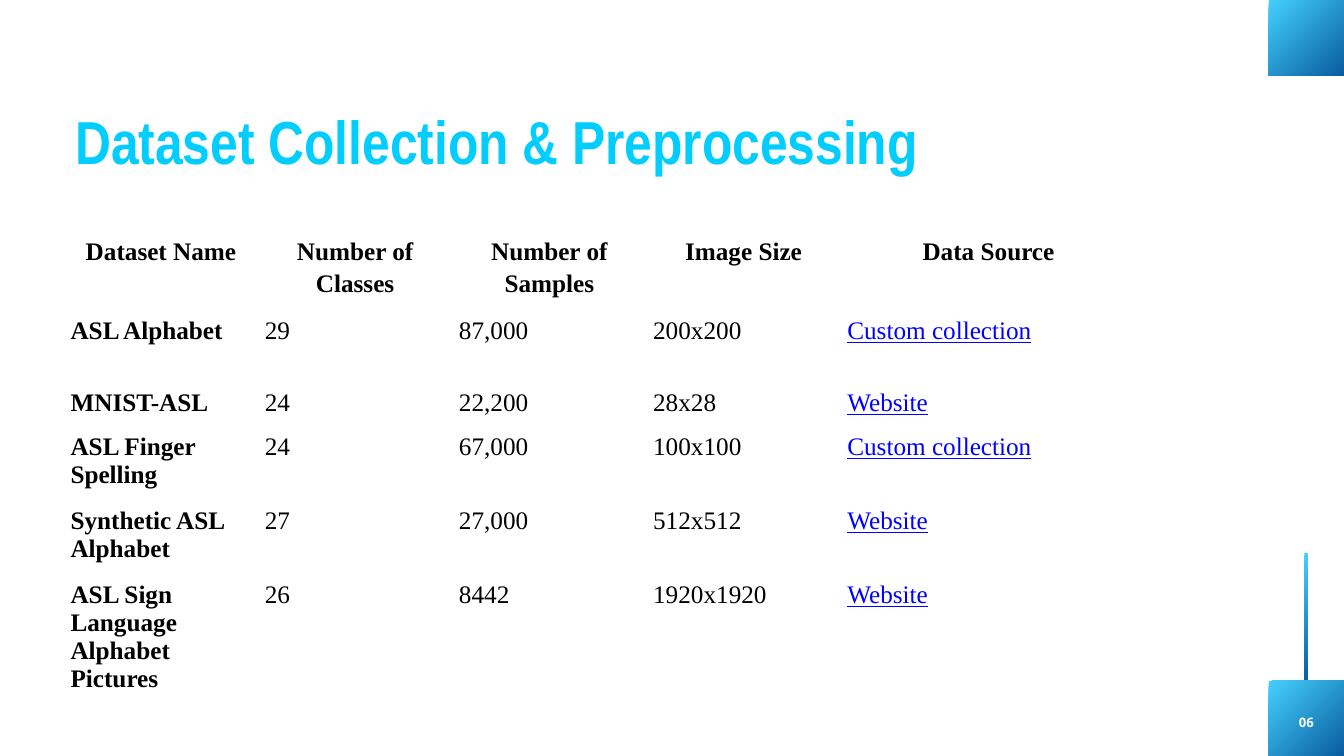
"""Build the dataset collection and preprocessing slide."""
import pptx
import pptx.dml.color
import pptx.enum.shapes
import pptx.enum.text
import pptx.util

WIDTH, HEIGHT = 20, 11.25
SQUARE = 1.12
TITLE = "Dataset Collection & Preprocessing"
PAGE_NUMBER = "06"
HEADERS = ["Dataset Name", "Number of Classes", "Number of Samples", "Image Size", "Data Source"]
DATASETS = [
    ["ASL Alphabet", "29", "87,000", "200x200", "Custom collection"],
    ["MNIST-ASL", "24", "22,200", "28x28", "Website"],
    ["ASL Finger Spelling", "24", "67,000", "100x100", "Custom collection"],
    ["Synthetic ASL Alphabet", "27", "27,000", "512x512", "Website"],
    ["ASL Sign Language Alphabet Pictures", "26", "8442", "1920x1920", "Website"],
]
COLUMN_WIDTHS = [2.89] * 4 + [4.4]
ROW_HEIGHTS = [0.24, 1.08, 0.38, 0.38, 0.38, 0.34]
GRADIENT = ["45D0FC", "085DA0"]
DECORATIONS = [
    (WIDTH - 0.59, 8.23, 0.05, HEIGHT - SQUARE - 8.23),
    (WIDTH - SQUARE, 0, SQUARE, SQUARE),
    (WIDTH - SQUARE, HEIGHT - SQUARE, SQUARE, SQUARE),
]
CENTER = pptx.enum.text.PP_ALIGN.CENTER
LEFT = pptx.enum.text.PP_ALIGN.LEFT


def color(hex_string):
    return pptx.dml.color.RGBColor.from_string(hex_string)


def inches(*lengths):
    return [pptx.util.Inches(length) for length in lengths]


def write(text_frame, text, font, size, fill, bold=True, underline=False, alignment=LEFT, spacing=1.0):
    text_frame.text = text
    paragraph = text_frame.paragraphs[0]
    paragraph.alignment = alignment
    paragraph.line_spacing = spacing
    for run in paragraph.runs:
        run.font.name = font
        run.font.size = pptx.util.Pt(size)
        run.font.bold = bold
        run.font.underline = underline
        run.font.color.rgb = color(fill)


def add_decoration(slide, box):
    shape = slide.shapes.add_shape(pptx.enum.shapes.MSO_SHAPE.RECTANGLE, *inches(*box))
    shape.shadow.inherit = False
    shape.line.fill.background()
    shape.fill.gradient()
    shape.fill.gradient_angle = 315
    for stop, hex_string in zip(shape.fill.gradient_stops, GRADIENT):
        stop.color.rgb = color(hex_string)


def add_text(slide, box, text, indent=0, **style):
    text_frame = slide.shapes.add_textbox(*inches(*box)).text_frame
    text_frame.word_wrap = True
    text_frame.margin_left = pptx.util.Inches(indent)
    text_frame.margin_top = text_frame.margin_right = text_frame.margin_bottom = 0
    write(text_frame, text, **style)


def add_dataset_table(slide):
    rows = [HEADERS] + DATASETS
    box = inches(0.95, 3.38, sum(COLUMN_WIDTHS), sum(ROW_HEIGHTS))
    table = slide.shapes.add_table(len(rows), len(HEADERS), *box).table
    table.first_row = table.horz_banding = False
    for column, width in zip(table.columns, COLUMN_WIDTHS):
        column.width = pptx.util.Inches(width)
    for row, height in zip(table.rows, ROW_HEIGHTS):
        row.height = pptx.util.Inches(height)
    for row_index, values in enumerate(rows):
        for column_index, value in enumerate(values):
            cell = table.cell(row_index, column_index)
            cell.fill.background()
            cell.margin_left = cell.margin_right = pptx.util.Inches(0.1)
            cell.margin_top = cell.margin_bottom = pptx.util.Inches(0.1)
            header = row_index == 0
            source = not header and column_index == len(HEADERS) - 1
            write(cell.text_frame, value, "Times New Roman", 27,
                  "0000FF" if source else "000000",
                  bold=header or column_index == 0, underline=source,
                  alignment=CENTER if header else LEFT, spacing=1.15 if header else 1.0)


def main():
    presentation = pptx.Presentation()
    presentation.slide_width, presentation.slide_height = inches(WIDTH, HEIGHT)
    slide = presentation.slides.add_slide(presentation.slide_layouts[6])
    for box in DECORATIONS:
        add_decoration(slide, box)
    add_text(slide, (19.14, 10.54, 0.6, 0.26), PAGE_NUMBER, font="Open Sans", size=14,
             fill="FFFFFF", alignment=CENTER, spacing=1.4)
    add_text(slide, (0.92, 1.44, 13.51, 1.01), TITLE, indent=0.2, font="Arial Narrow", size=65,
             fill="02CDFF", spacing=1.1)
    add_dataset_table(slide)
    presentation.save("out.pptx")


if __name__ == "__main__":
    main()
